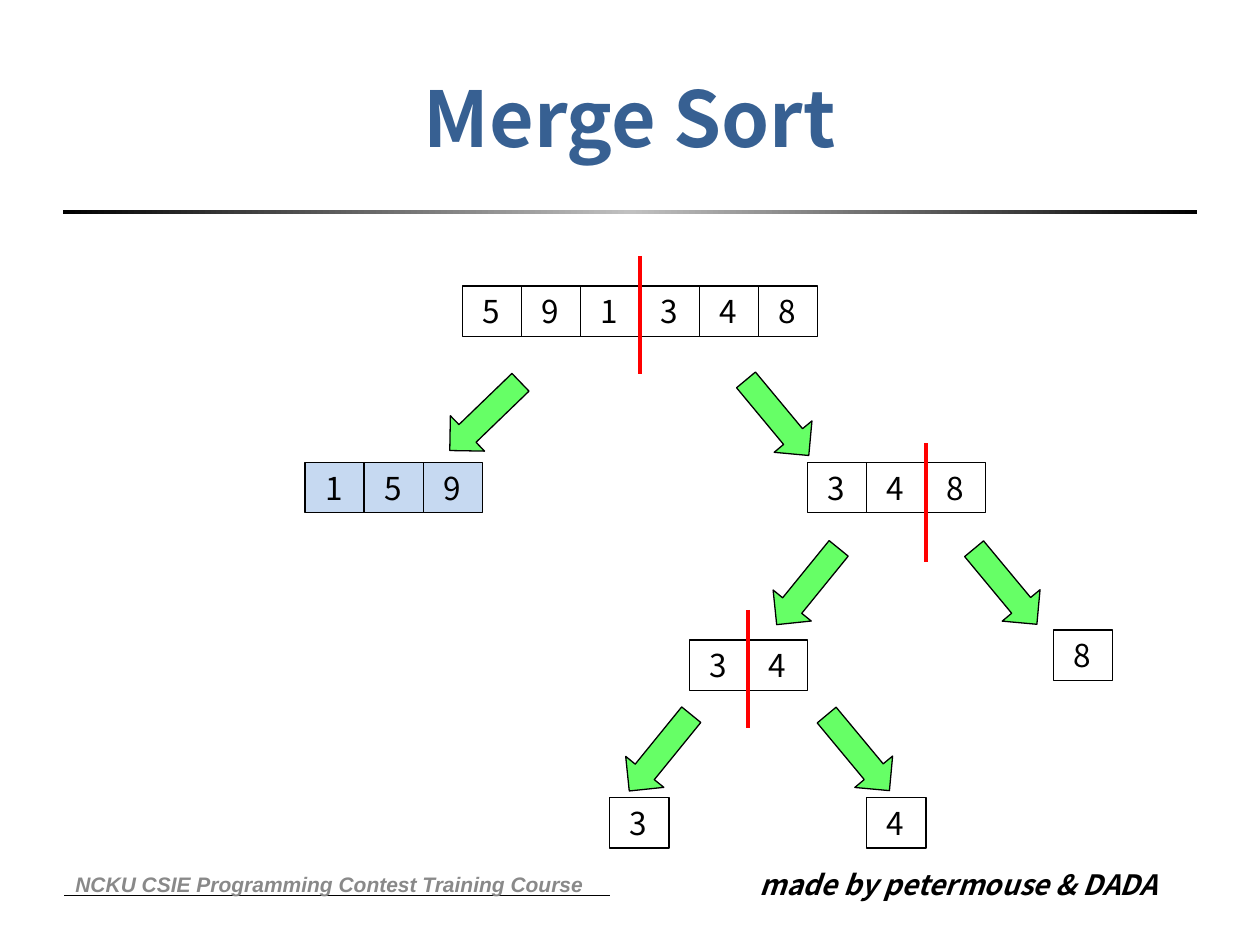
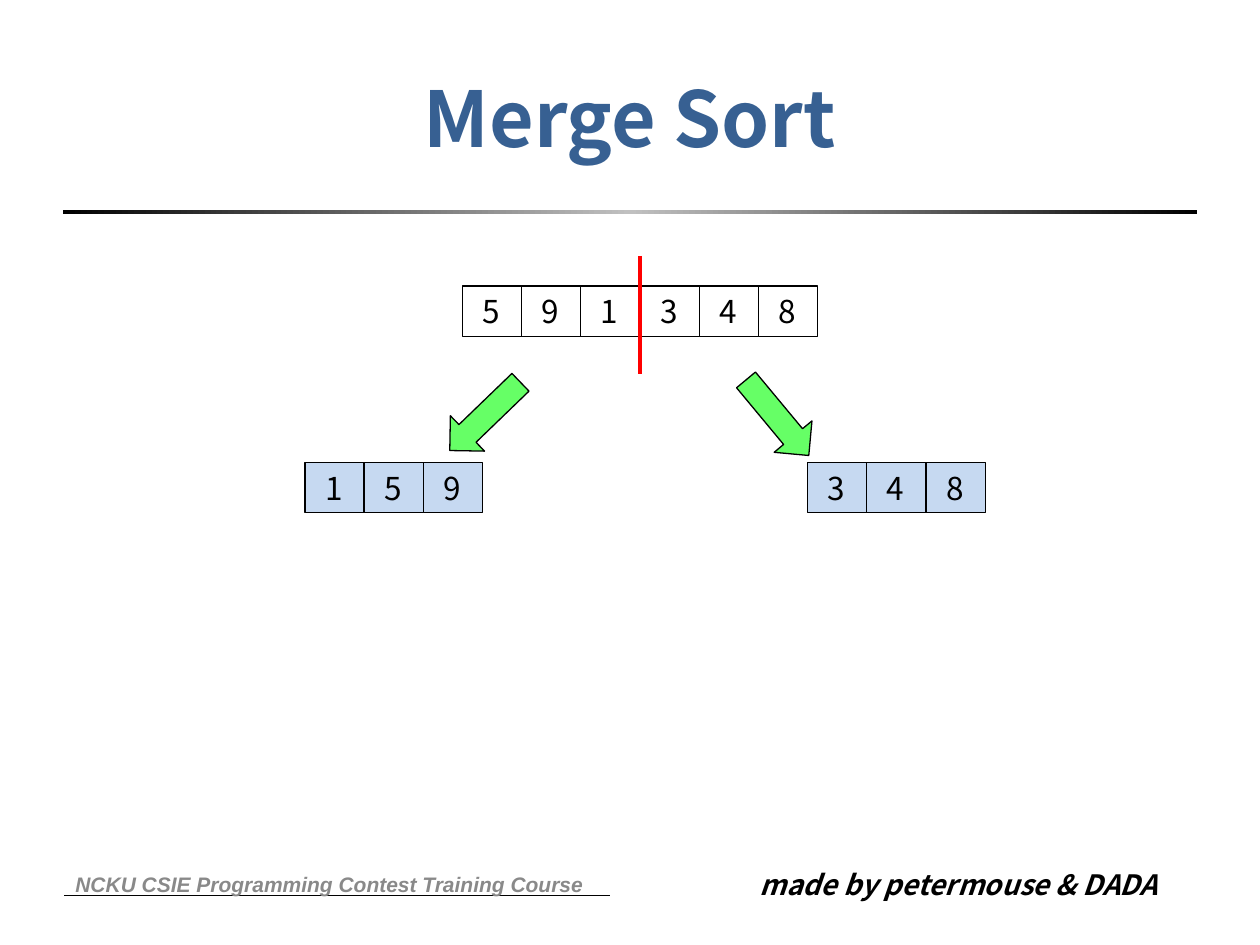
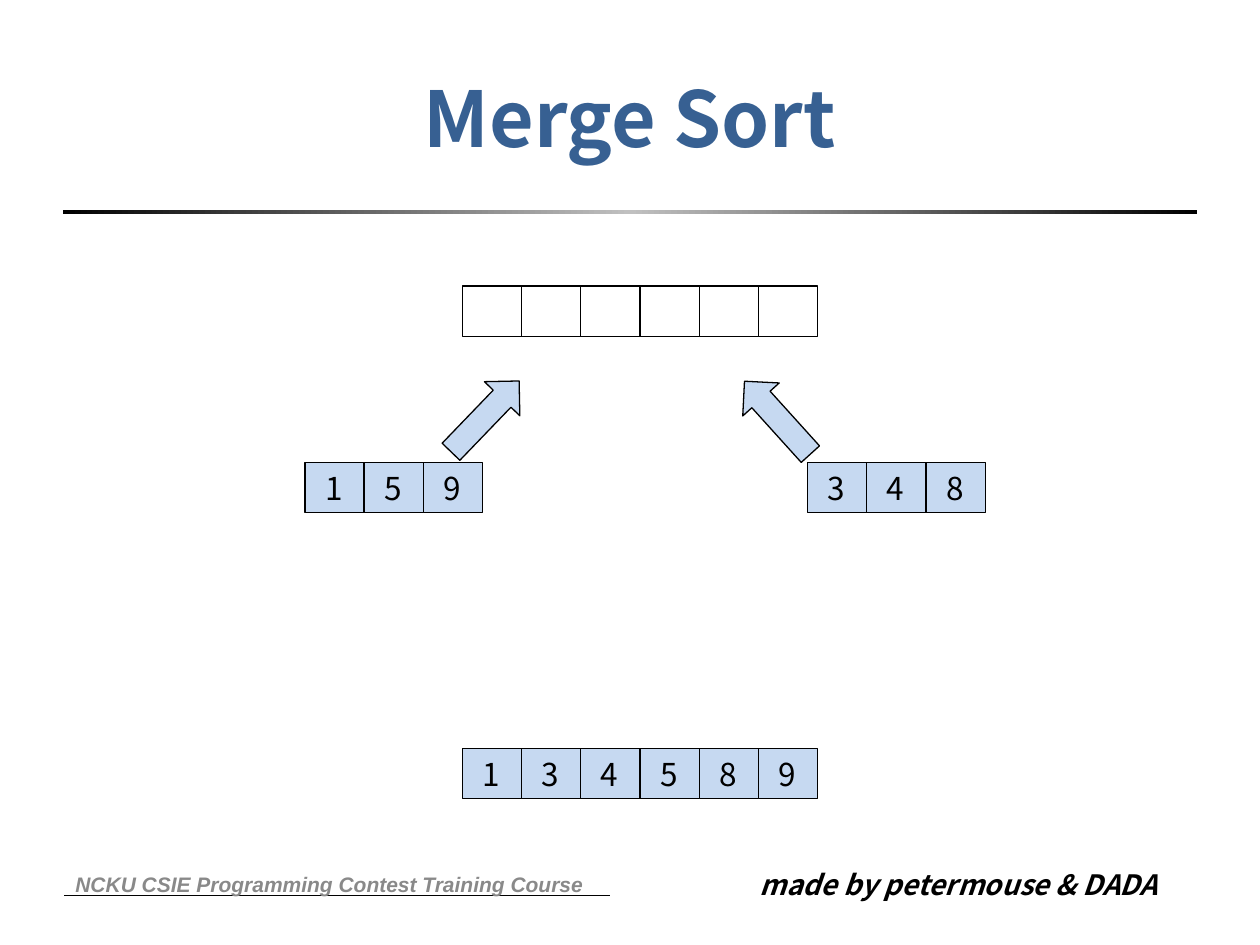
from copy import deepcopy

from lxml.etree import SubElement
from pptx import Presentation
from pptx.dml.color import RGBColor
from pptx.enum.shapes import MSO_CONNECTOR, MSO_SHAPE
from pptx.enum.text import MSO_ANCHOR, MSO_AUTO_SIZE, PP_ALIGN
from pptx.oxml.ns import qn
from pptx.util import Inches, Pt

COLORS = {
    "title": "376092",
    "ink": "000000",
    "silver": "C0C0C0",
    "course": "898989",
    "unsorted": "FFFFFF",
    "sorted": "C6D9F1",
    "split": "66FF66",
    "cut": "FF0000",
}
FONT = "Noto Sans CJK SC"
CELL_WIDTH, CELL_HEIGHT = 0.47, 0.4
CUT_LENGTH = 0.94
ARROW_WIDTH, ARROW_HEIGHT = 0.78, 0.39

# Left and top of the arrays and arrows that several slides share
WHOLE = (3.67, 2.27)
LEFT_HALF = (2.42, 3.67)
RIGHT_HALF = (6.41, 3.67)
MERGED = (3.67, 5.94)
LEFT_ARROW = (3.46, 3.11)
RIGHT_ARROW = (5.78, 3.12)


def rgb(name):
    return RGBColor.from_string(COLORS[name])


def add_run(paragraph, text, size, color="ink", font=FONT, bold=False, italic=False):
    run = paragraph.add_run()
    run.text = text
    run.font.name = font
    run.font.size = Pt(size)
    run.font.bold = bold
    run.font.italic = italic
    run.font.color.rgb = rgb(color)


def add_label(slide, box, text, size, anchor=MSO_ANCHOR.MIDDLE,
              align=PP_ALIGN.LEFT, **style):
    frame = slide.shapes.add_textbox(*map(Inches, box)).text_frame
    frame.word_wrap = True
    frame.vertical_anchor = anchor
    frame.paragraphs[0].alignment = align
    add_run(frame.paragraphs[0], text, size, **style)
    return frame


def add_block(shapes, kind, box, fill):
    """Add a flat preset shape with a thin black outline."""
    block = shapes.add_shape(kind, *map(Inches, box))
    block.shadow.inherit = False
    block.fill.solid()
    block.fill.fore_color.rgb = rgb(fill)
    block.line.color.rgb = rgb("ink")
    block.line.width = Pt(0.75)
    return block


def add_line(shapes, start, end, color, width):
    line = shapes.add_connector(MSO_CONNECTOR.STRAIGHT, *map(Inches, start + end))
    line.line.color.rgb = rgb(color)
    line.line.width = Pt(width)
    SubElement(line._element.spPr, qn("a:effectLst"))


def draw_title_rule(slide, left, top, width):
    rule = slide.shapes.add_shape(
        MSO_SHAPE.RECTANGLE, *map(Inches, (left, top, width, 0.03)))
    rule.shadow.inherit = False
    rule.line.fill.background()
    rule.fill.gradient()
    rule.fill.gradient_angle = 0
    stop_list = rule._element.spPr.find(".//" + qn("a:gsLst"))
    stop_list.insert(1, deepcopy(stop_list[0]))
    stops = zip(rule.fill.gradient_stops, (0, 0.5, 1), ("ink", "silver", "ink"))
    for stop, position, color in stops:
        stop.position = position
        stop.color.rgb = rgb(color)


def draw_footer(slide, left, top):
    add_line(slide.shapes, (left + 0.01, top + 0.29), (left + 4.34, top + 0.29),
             "ink", 0.5)
    credit = add_label(slide, (left + 5.43, top + 0.02, 3.39, 0.37),
                       "made by petermouse & DADA", 16,
                       anchor=MSO_ANCHOR.TOP, bold=True, italic=True)
    credit.auto_size = MSO_AUTO_SIZE.SHAPE_TO_FIT_TEXT
    add_label(slide, (left, top, 4.26, 0.4),
              "NCKU CSIE Programming Contest Training Course", 12,
              color="course", font="Arial", bold=True, italic=True)


def add_sort_slide(deck):
    """Add a slide with the title, rule and footer that all steps share."""
    slide = deck.slides.add_slide(deck.slide_layouts[6])
    draw_title_rule(slide, 0.5, 1.67, 9)
    draw_footer(slide, 0.5, 6.82)
    add_label(slide, (0.5, 0.3, 9, 1.25), "Merge Sort", 44,
              align=PP_ALIGN.CENTER, color="title", bold=True)
    return slide


def draw_array(slide, origin, values, fill="unsorted", cut=None, cut_rise=0.24):
    """Draw a row of cells, with a red cut after the given number of cells."""
    left, top = origin
    row = slide.shapes.add_group_shape().shapes
    for index, value in enumerate(values):
        cell = add_block(row, MSO_SHAPE.RECTANGLE,
                         (left + index * CELL_WIDTH, top, CELL_WIDTH, CELL_HEIGHT),
                         fill)
        if value is None:
            continue
        frame = cell.text_frame
        frame.margin_left = Inches(0.16)
        frame.vertical_anchor = MSO_ANCHOR.TOP
        frame.auto_size = MSO_AUTO_SIZE.SHAPE_TO_FIT_TEXT
        frame.paragraphs[0].alignment = PP_ALIGN.LEFT
        add_run(frame.paragraphs[0], str(value), 18)
    if cut:
        x, y = left + cut * CELL_WIDTH, top - cut_rise
        add_line(row, (x, y), (x, y + CUT_LENGTH), "cut", 2.25)


def draw_arrow(slide, origin, angle, fill="split"):
    arrow = add_block(slide.shapes, MSO_SHAPE.RIGHT_ARROW,
                      (*origin, ARROW_WIDTH, ARROW_HEIGHT), fill)
    arrow.rotation = angle


def draw_first_split(slide):
    draw_array(slide, WHOLE, [5, 9, 1, 3, 4, 8], cut=3)
    draw_array(slide, LEFT_HALF, [1, 5, 9], "sorted")
    draw_arrow(slide, RIGHT_ARROW, 50.3)
    draw_arrow(slide, LEFT_ARROW, 136)


def build_right_split(deck):
    slide = add_sort_slide(deck)
    draw_first_split(slide)
    draw_array(slide, RIGHT_HALF, [3, 4, 8], cut=2, cut_rise=0.15)
    draw_array(slide, (5.47, 5.08), [3, 4], cut=1)
    for origin, value in (((8.36, 5), 8), ((4.84, 6.33), 3), ((6.88, 6.33), 4)):
        draw_array(slide, origin, [value])
    for left, top in ((6.02, 4.46), (4.85, 5.78)):
        draw_arrow(slide, (left, top), 129.1)
        draw_arrow(slide, (left + 1.57, top), 50.3)


def build_sorted_halves(deck):
    slide = add_sort_slide(deck)
    draw_first_split(slide)
    draw_array(slide, RIGHT_HALF, [3, 4, 8], "sorted")


def build_merge(deck):
    slide = add_sort_slide(deck)
    draw_array(slide, LEFT_HALF, [1, 5, 9], "sorted")
    draw_array(slide, RIGHT_HALF, [3, 4, 8], "sorted")
    draw_arrow(slide, RIGHT_ARROW, 227.9, "sorted")
    draw_arrow(slide, LEFT_ARROW, 313.9, "sorted")
    draw_array(slide, WHOLE, [None] * 6)
    draw_array(slide, MERGED, [1, 3, 4, 5, 8, 9], "sorted")


def main():
    deck = Presentation()
    deck.slide_width, deck.slide_height = Inches(10), Inches(7.5)
    build_right_split(deck)
    build_sorted_halves(deck)
    build_merge(deck)
    deck.save("out.pptx")


if __name__ == "__main__":
    main()
